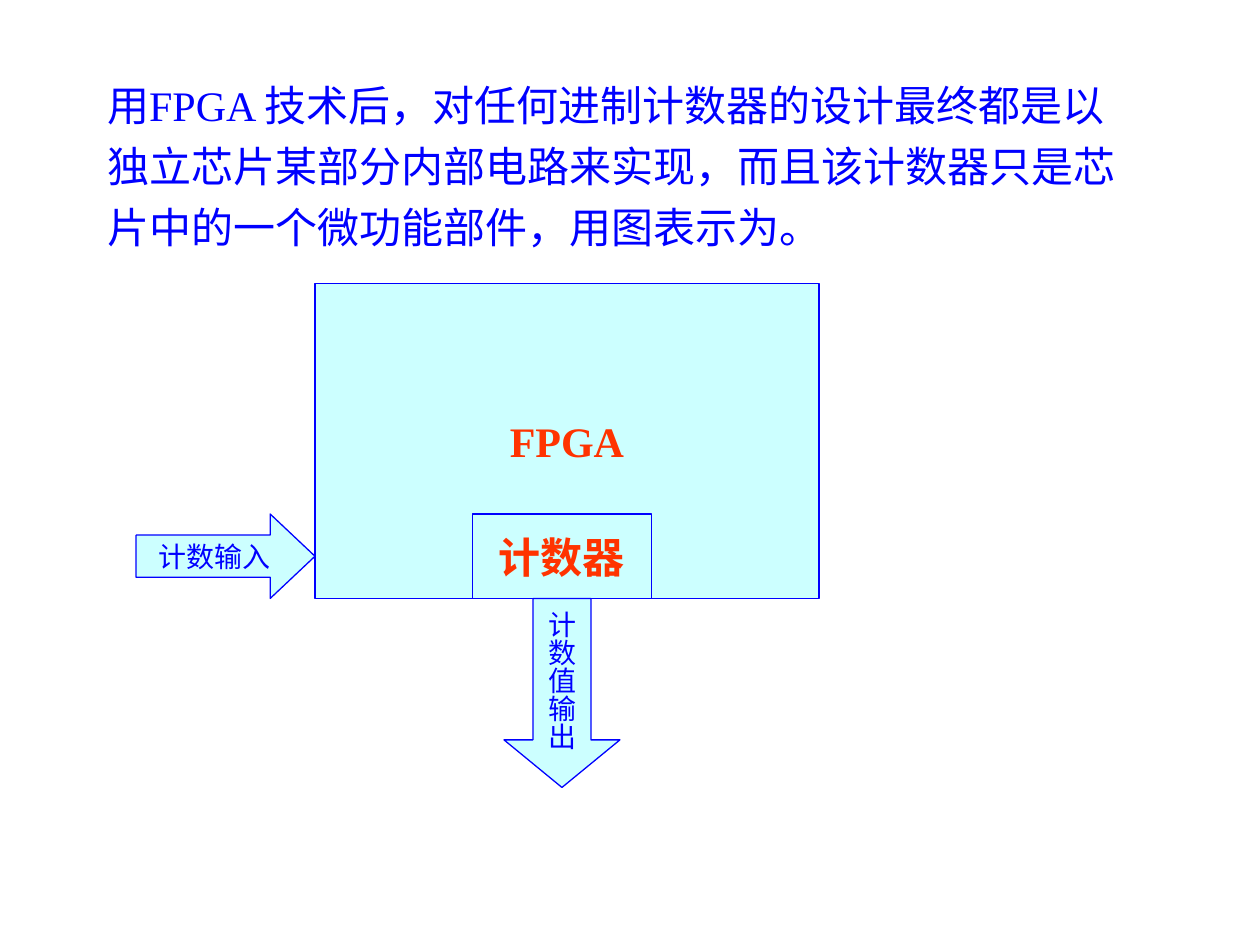
import pptx
import pptx.dml.color
import pptx.enum.shapes
import pptx.enum.text
import pptx.oxml.ns
import pptx.util
from lxml import etree

Inches = pptx.util.Inches
Shape = pptx.enum.shapes.MSO_SHAPE
Anchor = pptx.enum.text.MSO_ANCHOR
Align = pptx.enum.text.PP_ALIGN

COLOURS = {"blue": "0000FF", "red": "FF3300", "cyan": "CCFFFF"}


def colour(name):
    return pptx.dml.color.RGBColor.from_string(COLOURS[name])


def apply(target, **values):
    for name, value in values.items():
        setattr(target, name, value)


class Page:
    font_name = "Times New Roman"

    def __init__(self, deck):
        self.slide = deck.slides.add_slide(deck.slide_layouts[1])
        title = self.slide.shapes.title
        title.element.getparent().remove(title.element)

    def style(self, font, size, ink, bold=False):
        apply(font, name=self.font_name, size=pptx.util.Pt(size), bold=bold)
        font.color.rgb = colour(ink)

    def body(self, lines, left, top, width, height):
        """Fill the body placeholder with one unbulleted paragraph per line."""
        box = self.slide.placeholders[1]
        apply(box, left=Inches(left), top=Inches(top),
              width=Inches(width), height=Inches(height))
        frame = box.text_frame
        apply(frame, text="\n".join(lines), word_wrap=True,
              vertical_anchor=Anchor.TOP,
              auto_size=pptx.enum.text.MSO_AUTO_SIZE.NONE)
        for index, para in enumerate(frame.paragraphs):
            para.space_before = pptx.util.Pt(6 if index else 0)
            properties = para._p.get_or_add_pPr()
            properties.set("marL", str(Inches(0.38)))
            properties.set("indent", str(-Inches(0.38)))
            etree.SubElement(properties, pptx.oxml.ns.qn("a:buNone"))
            self.style(para.runs[0].font, 24, "blue")

    def block(self, kind, text, left, top, width, height,
              size=24, ink="red", bold=True, head=None, vertical=False):
        """Draw a labelled shape; head is the arrowhead length ratio."""
        shape = self.slide.shapes.add_shape(
            kind, Inches(left), Inches(top), Inches(width), Inches(height))
        shape.shadow.inherit = False
        shape.fill.solid()
        shape.fill.fore_color.rgb = colour("cyan")
        shape.line.color.rgb = colour("blue")
        shape.line.width = pptx.util.Pt(0.75)
        if head:
            shape.adjustments[1] = head
        frame = shape.text_frame
        across, along = Inches(0.05), Inches(0.1)
        side, end = (across, along) if vertical else (along, across)
        apply(frame, text=text, word_wrap=False, vertical_anchor=Anchor.MIDDLE,
              margin_left=side, margin_right=side,
              margin_top=end, margin_bottom=end)
        if vertical:
            frame._txBody.bodyPr.set("vert", "eaVert")
        para = frame.paragraphs[0]
        para.alignment = Align.CENTER
        self.style(para.runs[0].font, size, ink, bold)

    def arrow(self, kind, text, left, top, width, height, head, vertical=False):
        self.block(kind, text, left, top, width, height, size=16, ink="blue",
                   bold=False, head=head, vertical=vertical)


def main():
    deck = pptx.Presentation()
    apply(deck, slide_width=Inches(10), slide_height=Inches(7.5))
    page = Page(deck)
    page.body(["用FPGA 技术后，对任何进制计数器的设计最终都是以",
               "独立芯片某部分内部电路来实现，而且该计数器只是芯",
               "片中的一个微功能部件，用图表示为。"], 0.75, 0.58, 8.5, 4.5)

    chip_left, chip_top, chip_width, chip_height = 2.5, 2.25, 4, 2.5
    chip_bottom = chip_top + chip_height
    part_width, part_height = 1.42, 0.67
    part_top = chip_bottom - part_height
    page.block(Shape.RECTANGLE, "FPGA",
               chip_left, chip_top, chip_width, chip_height)
    page.block(Shape.RECTANGLE, "计数器",
               3.75, part_top, part_width, part_height)
    page.arrow(Shape.RIGHT_ARROW, "计数输入", chip_left - part_width, part_top,
               part_width, part_height, head=0.53)
    page.arrow(Shape.DOWN_ARROW, "计数值输出", 4, chip_bottom, 0.92, 1.5,
               head=0.41, vertical=True)
    deck.save("out.pptx")


if __name__ == "__main__":
    main()
